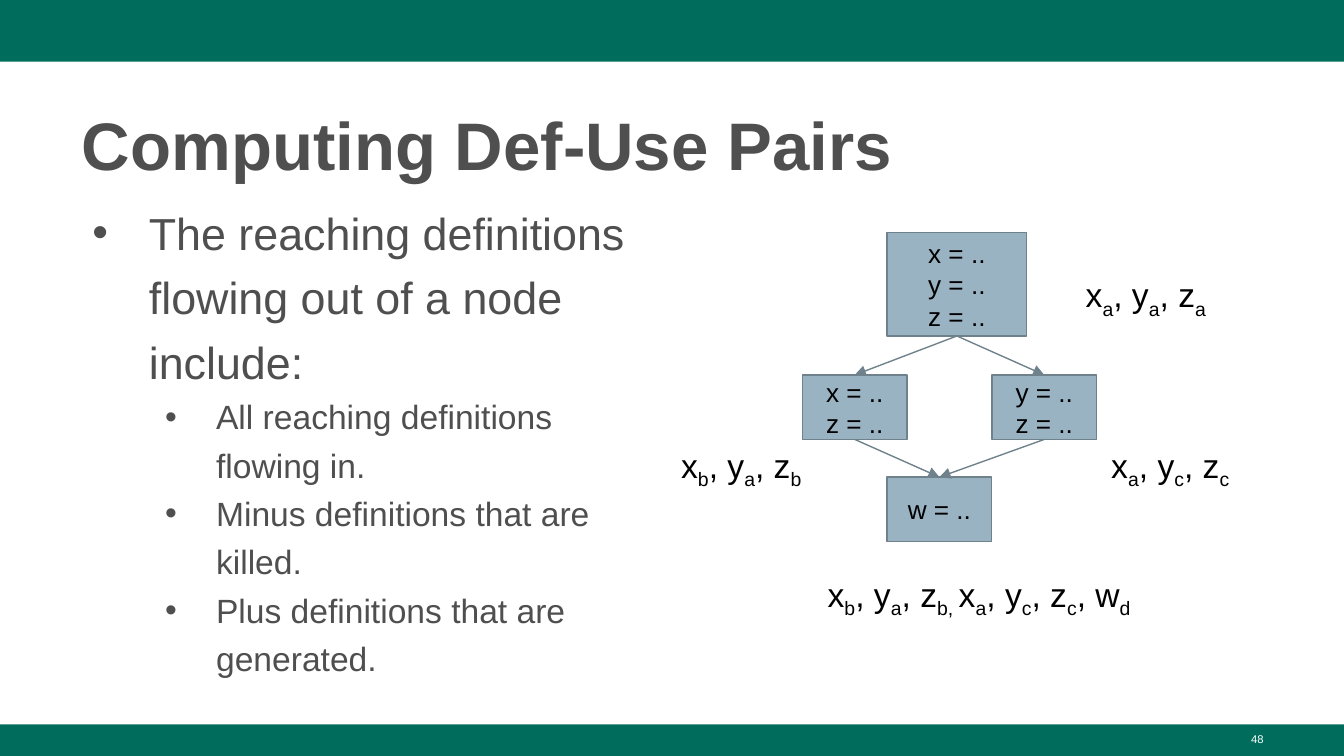
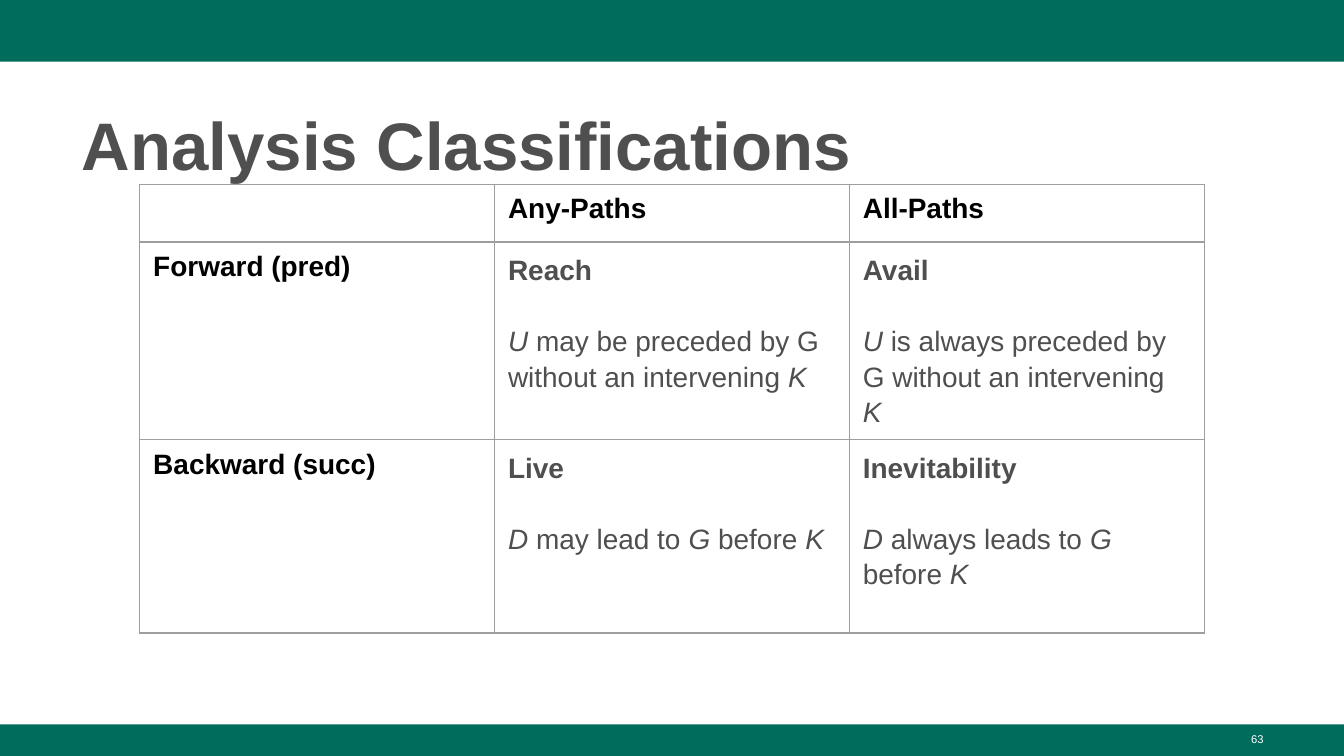
from lxml.etree import SubElement
from pptx import Presentation
from pptx.dml.color import RGBColor
from pptx.enum.shapes import MSO_CONNECTOR, MSO_SHAPE
from pptx.enum.text import MSO_ANCHOR, MSO_AUTO_SIZE, PP_ALIGN
from pptx.oxml.ns import qn
from pptx.util import Inches, Pt

WIDTH = 10
HEIGHT = WIDTH * 9 / 16
COLORS = {"band": "006C5C", "text": "4F4F4F", "black": "000000", "white": "FFFFFF",
          "node": "99B3C2", "edge": "6F828C", "grid": "9E9E9E"}
FONT = "Arial"
BANDS = [(0, 0.46), (5.39, HEIGHT - 5.39)]
MARGIN, CONTENT_WIDTH = 0.51, 8.99

BULLETS = [
    (0, "The reaching definitions flowing out of a node include:"),
    (1, "All reaching definitions flowing in."),
    (1, "Minus definitions that are killed."),
    (1, "Plus definitions that are generated."),
]
BULLET_LEVELS = [{"size": 24, "left": 0.5, "hang": 0.42},
                 {"size": 18, "left": 1, "hang": 0.38}]

NODE_WIDTH, NODE_HEIGHT = 0.78, 0.48
COLUMNS = [5.97, 6.6, 6.6 + NODE_WIDTH]
ROWS = [1.73, 2.79, 3.55]
NODES = {
    "a": (1, 0, 1.04, 0.77, ["x = ..", "y = ..", "z = .."]),
    "b": (0, 1, NODE_WIDTH, NODE_HEIGHT, ["x = ..", "z = .."]),
    "c": (2, 1, NODE_WIDTH, NODE_HEIGHT, ["y = ..", "z = .."]),
    "d": (1, 2, NODE_WIDTH, NODE_HEIGHT, ["w = .."]),
}
EDGES = ["ab", "ac", "bd", "cd"]
REACHING = [
    (["xa ya za"], 7.98, 1.94, 1.33),
    (["xa yc zc"], 8.17, 3.21, 1.33),
    (["xb ya zb"], 4.97, 3.21, 1.33),
    (["xb ya zb", "xa yc zc wd"], 6.06, 4.17, 2.85),
]

ROW_HEIGHTS = [0.43, 1.47, 1.44]
COLUMN_WIDTH = 2.64
ANALYSES = [
    [[], ["Any-Paths"], ["All-Paths"]],
    [["Forward (pred)"],
     ["Reach", "|U |may be preceded by G without an intervening |K|"],
     ["Avail", "|U |is always preceded by G without an intervening |K|"]],
    [["Backward (succ)"],
     ["Live", "|D |may lead to |G| before |K|"],
     ["Inevitability", "|D |always leads to |G| before |K|"]],
]


def rgb(name):
    return RGBColor.from_string(COLORS[name])


def write(paragraph, text, size=18, color="black", bold=False, accent="italic",
          align=PP_ALIGN.LEFT, spacing=1, before=0):
    paragraph.alignment = align
    paragraph.line_spacing = spacing
    paragraph.space_before = Pt(before)
    for index, piece in enumerate(text.split("|")):
        if index and not piece:
            continue
        run = paragraph.add_run()
        run.text = piece
        font = run.font
        font.name, font.size, font.bold = FONT, Pt(size), bold
        font.color.rgb = rgb(color)
        if index % 2 and accent == "italic":
            font.italic = True
        elif index % 2:
            run._r.get_or_add_rPr().set("baseline", "-25000")


def paragraphs_for(frame, count):
    return [frame.paragraphs[0]] + [frame.add_paragraph() for _ in range(count - 1)]


def set_frame(frame, vertical, anchor=MSO_ANCHOR.TOP):
    frame.word_wrap = True
    frame.auto_size = MSO_AUTO_SIZE.NONE
    frame.vertical_anchor = anchor
    frame.margin_left = frame.margin_right = Inches(0.1)
    frame.margin_top = frame.margin_bottom = Inches(vertical)
    return frame


def add_box(slide, left, top, width, height, vertical=0.1):
    box = slide.shapes.add_textbox(*map(Inches, (left, top, width, height)))
    return set_frame(box.text_frame, vertical)


def add_rectangle(slide, left, top, width, height, fill, line=None):
    shape = slide.shapes.add_shape(MSO_SHAPE.RECTANGLE,
                                   *map(Inches, (left, top, width, height)))
    shape.shadow.inherit = False
    shape.fill.solid()
    shape.fill.fore_color.rgb = rgb(fill)
    if line:
        shape.line.color.rgb = rgb(line)
        shape.line.width = Pt(0.75)
    else:
        shape.line.fill.background()
    return shape


def add_bands(slide):
    tree = slide.slide_layout.shapes.element
    for index, (top, height) in enumerate(BANDS):
        band = add_rectangle(slide, 0, top, WIDTH, height, "band").element
        band.xpath(".//p:cNvPr")[0].set("id", str(20 + index))
        tree.append(band)


def add_slide(presentation, title, number):
    slide = presentation.slides.add_slide(presentation.slide_layouts[5])
    shape = slide.shapes.title
    shape.left, shape.top = Inches(MARGIN), Inches(0.67)
    shape.width, shape.height = Inches(CONTENT_WIDTH), Inches(0.73)
    frame = set_frame(shape.text_frame, 0.05)
    write(frame.paragraphs[0], title, size=36, color="text", bold=True, spacing=1.08)
    footer = add_box(slide, 7.17, 5.4, 2.33, 0.23, vertical=0.05)
    write(footer.paragraphs[0], number, size=6, color="white", align=PP_ALIGN.RIGHT)
    return slide


def add_bullets(slide):
    frame = add_box(slide, MARGIN, 1.4, 4.46, 3.81, vertical=0.05)
    for paragraph, (level, text) in zip(paragraphs_for(frame, len(BULLETS)), BULLETS):
        style = BULLET_LEVELS[level]
        paragraph.level = level
        properties = paragraph._p.get_or_add_pPr()
        properties.set("marL", str(Inches(style["left"])))
        properties.set("indent", str(-Inches(style["hang"])))
        color = SubElement(properties, qn("a:buClr"))
        SubElement(color, qn("a:srgbClr"), val=COLORS["text"])
        SubElement(properties, qn("a:buFont"), typeface=FONT)
        SubElement(properties, qn("a:buChar"), char="•")
        write(paragraph, text, size=style["size"], color="text", spacing=1.2)


def add_arrow(slide, source, target):
    arrow = slide.shapes.add_connector(MSO_CONNECTOR.STRAIGHT, 0, 0, 0, 0)
    arrow.begin_connect(source, 2)
    arrow.end_connect(target, 0)
    arrow.line.color.rgb = rgb("edge")
    arrow.line.width = Pt(0.75)
    properties = arrow.element.spPr
    SubElement(properties.find(qn("a:ln")), qn("a:tailEnd"), type="triangle")
    SubElement(properties, qn("a:effectLst"))


def subscripted(definitions):
    return ", ".join(f"{variable}|{node}|" for variable, node in definitions.split())


def add_flow_graph(slide):
    nodes = {}
    for name, (column, row, width, height, lines) in NODES.items():
        node = add_rectangle(slide, COLUMNS[column], ROWS[row], width, height, "node", "edge")
        frame = set_frame(node.text_frame, 0.1, MSO_ANCHOR.MIDDLE)
        for paragraph, line in zip(paragraphs_for(frame, len(lines)), lines):
            write(paragraph, line, size=14, align=PP_ALIGN.CENTER)
        nodes[name] = node
    for source, target in EDGES:
        add_arrow(slide, nodes[source], nodes[target])
    for groups, left, top, width in REACHING:
        frame = add_box(slide, left, top, width, 0.61)
        write(frame.paragraphs[0], "|, |".join(map(subscripted, groups)), accent="subscript")


def add_borders(cell):
    properties = cell._tc.get_or_add_tcPr()
    for index, side in enumerate(("lnL", "lnR", "lnT", "lnB")):
        line = SubElement(properties, qn(f"a:{side}"), w=str(Pt(0.75)))
        fill = SubElement(line, qn("a:solidFill"))
        SubElement(fill, qn("a:srgbClr"), val=COLORS["grid"])
        properties.insert(index, line)


def add_analysis_table(slide):
    count = len(ANALYSES[0])
    table = slide.shapes.add_table(
        len(ANALYSES), count, Inches(1.04), Inches(1.37),
        Inches(COLUMN_WIDTH * count), Inches(sum(ROW_HEIGHTS))).table
    table.first_row = table.horz_banding = False
    for column in table.columns:
        column.width = Inches(COLUMN_WIDTH)
    for row_index, row in enumerate(ANALYSES):
        table.rows[row_index].height = Inches(ROW_HEIGHTS[row_index])
        for column_index, lines in enumerate(row):
            cell = table.cell(row_index, column_index)
            cell.fill.background()
            cell.margin_left = cell.margin_right = Inches(0.1)
            cell.margin_top = cell.margin_bottom = Inches(0.07)
            add_borders(cell)
            heading = row_index == 0 or column_index == 0
            texts = lines or [""]
            paragraphs = paragraphs_for(cell.text_frame, len(texts))
            for index, (paragraph, text) in enumerate(zip(paragraphs, texts)):
                write(paragraph, text, size=15, bold=index == 0,
                      color="black" if heading else "text",
                      spacing=1 if heading else 1.14, before=19 * index)


def main():
    presentation = Presentation()
    presentation.slide_width, presentation.slide_height = Inches(WIDTH), Inches(HEIGHT)
    pairs = add_slide(presentation, "Computing Def-Use Pairs", "48")
    add_bands(pairs)
    add_bullets(pairs)
    add_flow_graph(pairs)
    classes = add_slide(presentation, "Analysis Classifications", "63")
    add_analysis_table(classes)
    presentation.save("out.pptx")


if __name__ == "__main__":
    main()
